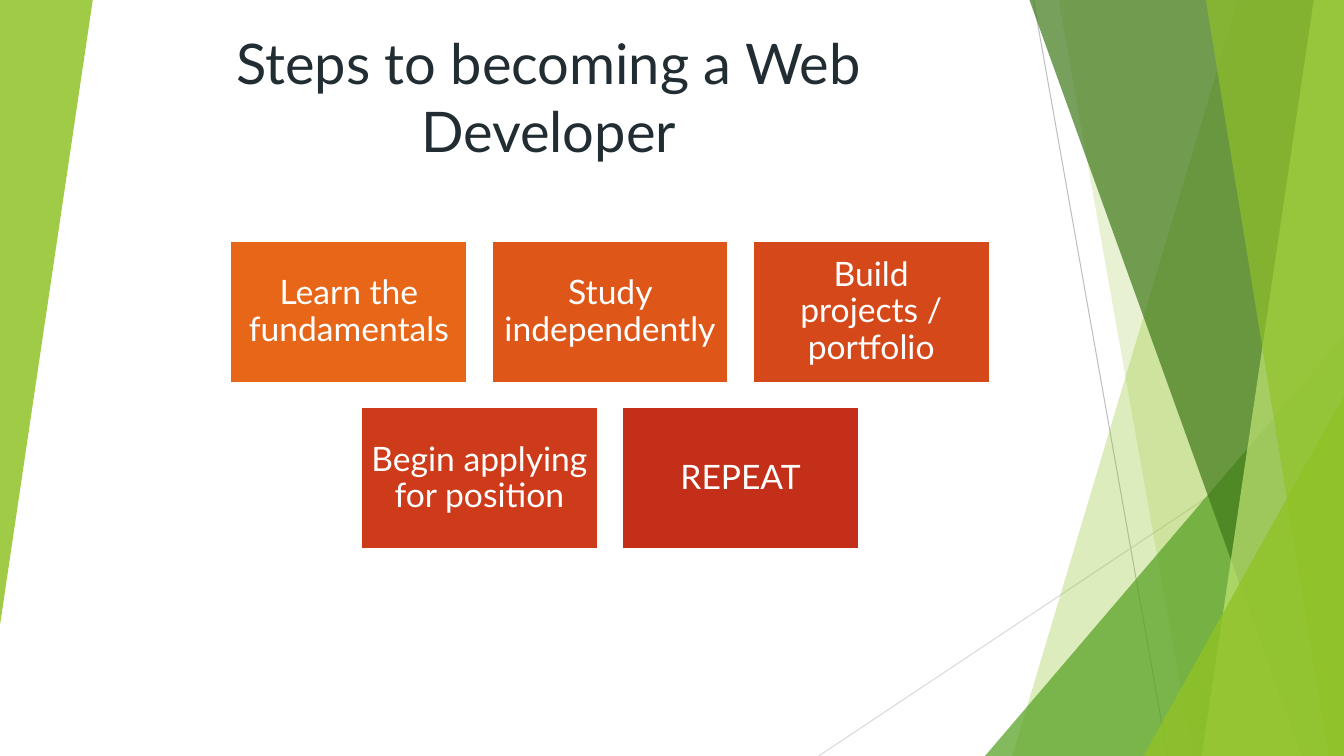
"""Build the slide of steps to becoming a web developer."""
from lxml.etree import SubElement
from pptx import Presentation
from pptx.dml.color import RGBColor
from pptx.enum.shapes import MSO_CONNECTOR as Connector, MSO_SHAPE as Shape
from pptx.enum.text import MSO_ANCHOR as Anchor, MSO_AUTO_SIZE as AutoSize, PP_ALIGN as Align
from pptx.oxml.ns import qn
from pptx.util import Inches, Pt

WIDTH, HEIGHT = 13.33, 7.5
FONT = "Lato"
TITLE = "Steps to becoming a Web Developer"
STEP_ROWS = [
    [("Learn the fundamentals", "E76618"),
     ("Study independently", "DE5719"),
     ("Build projects / portfolio", "D54819")],
    [("Begin applying for position", "CD3B1A"),
     ("REPEAT", "C42F1A")],
]
STEP_WIDTH, STEP_HEIGHT, STEP_GAP = 2.35, 1.41, 0.24
STEPS_CENTER, STEPS_TOP = 6.05, 2.39

RAYS = [
    ((10.25, 0, 11.58, HEIGHT), "BFBFBF"),
    ((WIDTH, 4.03, 8.12, HEIGHT), "D9D9D9"),
]
# Shards give top and bottom x; triangles give left, top, width, height, rotation.
FACETS = [
    ((12.28, 10.04), "90C226", 30),
    ((10.5, 11.83), "90C226", 20),
    ((9.77, 3.33, 3.56, 4.17, 0), "54A021", 72),
    ((10.21, 12.91), "3F7819", 70),
    ((13.03, 11.92), "C0E474", 70),
    ((11.96, 13.18), "90C226", 65),
    ((11.34, 3.93, 1.99, 3.57, 0), "90C226", 80),
    ((0, 0, 0.92, 6.2, 180), "90C226", 85),
]


def color(value):
    return RGBColor.from_string(value)


def paint(shape, value, opacity=100):
    shape.shadow.inherit = False
    shape.fill.solid()
    shape.fill.fore_color.rgb = color(value)
    if opacity < 100:
        tint = shape.fill._xPr.find(qn("a:solidFill"))[0]
        SubElement(tint, qn("a:alpha")).set("val", str(opacity * 1000))


def write(shape, text, size, value, anchor, spacing):
    frame = shape.text_frame
    frame.word_wrap = True
    frame.auto_size = AutoSize.NONE
    frame.vertical_anchor = anchor
    para = frame.paragraphs[0]
    para.alignment = Align.CENTER
    para.line_spacing = spacing
    span = para.add_run()
    span.text = text
    span.font.name = FONT
    span.font.size = Pt(size)
    span.font.color.rgb = color(value)


def add_ray(page, ends, value):
    ray = page.shapes.add_connector(Connector.STRAIGHT, *map(Inches, ends))
    ray.line.color.rgb = color(value)
    ray.line.width = Pt(0.75)
    SubElement(ray._element.spPr, qn("a:effectLst"))


def add_shard(page, top_x, bottom_x):
    corners = [(top_x, 0), (WIDTH, 0), (WIDTH, HEIGHT), (bottom_x, HEIGHT)]
    points = [(Inches(x), Inches(y)) for x, y in corners]
    builder = page.shapes.build_freeform(*points[0])
    builder.add_line_segments(points[1:], close=True)
    return builder.convert_to_shape()


def add_triangle(page, left, top, width, height, rotation):
    triangle = page.shapes.add_shape(
        Shape.ISOSCELES_TRIANGLE, *map(Inches, (left, top, width, height)))
    triangle.adjustments[0] = 1
    triangle.rotation = rotation
    return triangle


def add_step(page, left, top, text, value):
    box = page.shapes.add_shape(
        Shape.RECTANGLE, *map(Inches, (left, top, STEP_WIDTH, STEP_HEIGHT)))
    paint(box, value)
    box.line.color.rgb = color("FFFFFF")
    box.line.width = Pt(1.5)
    frame = box.text_frame
    frame.margin_left = frame.margin_right = Inches(0.1)
    frame.margin_top = frame.margin_bottom = Inches(0.1)
    write(box, text, 24, "FFFFFF", Anchor.MIDDLE, 0.9)


def main():
    deck = Presentation()
    deck.slide_width, deck.slide_height = Inches(WIDTH), Inches(HEIGHT)
    page = deck.slides.add_slide(deck.slide_layouts[5])

    for ends, value in RAYS:
        add_ray(page, ends, value)
    for outline, value, opacity in FACETS:
        add_facet = add_shard if len(outline) == 2 else add_triangle
        facet = add_facet(page, *outline)
        paint(facet, value, opacity)
        facet.line.fill.background()

    title = page.shapes.title
    title.left, title.top = Inches(1.07), Inches(0.26)
    title.width, title.height = Inches(8.74), Inches(1.41)
    write(title, TITLE, 40, "212D32", Anchor.BOTTOM, 1.0)

    for row, steps in enumerate(STEP_ROWS):
        row_width = len(steps) * (STEP_WIDTH + STEP_GAP) - STEP_GAP
        top = STEPS_TOP + row * (STEP_HEIGHT + STEP_GAP)
        for column, (text, value) in enumerate(steps):
            left = STEPS_CENTER - row_width / 2 + column * (STEP_WIDTH + STEP_GAP)
            add_step(page, left, top, text, value)

    deck.save("out.pptx")


if __name__ == "__main__":
    main()
